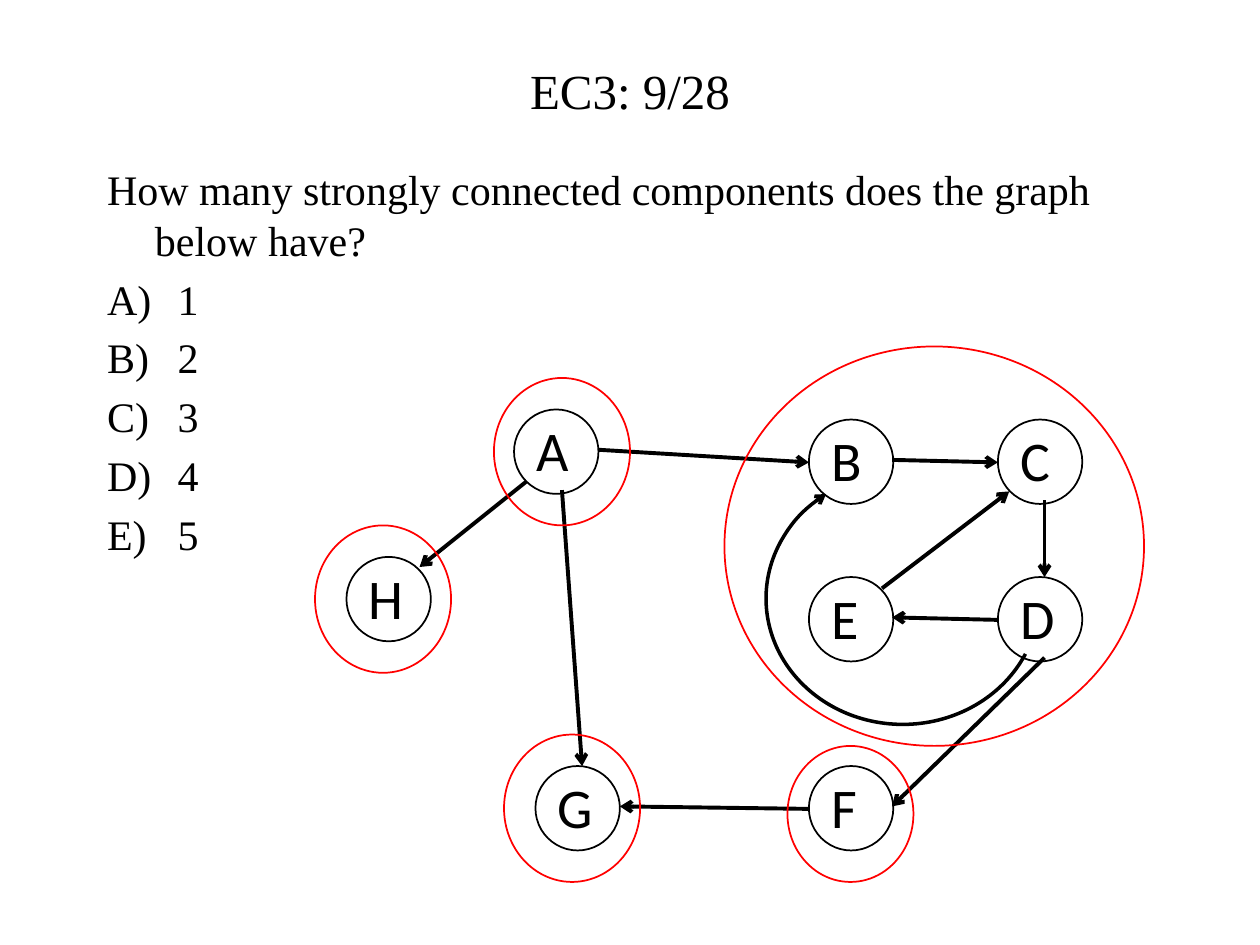
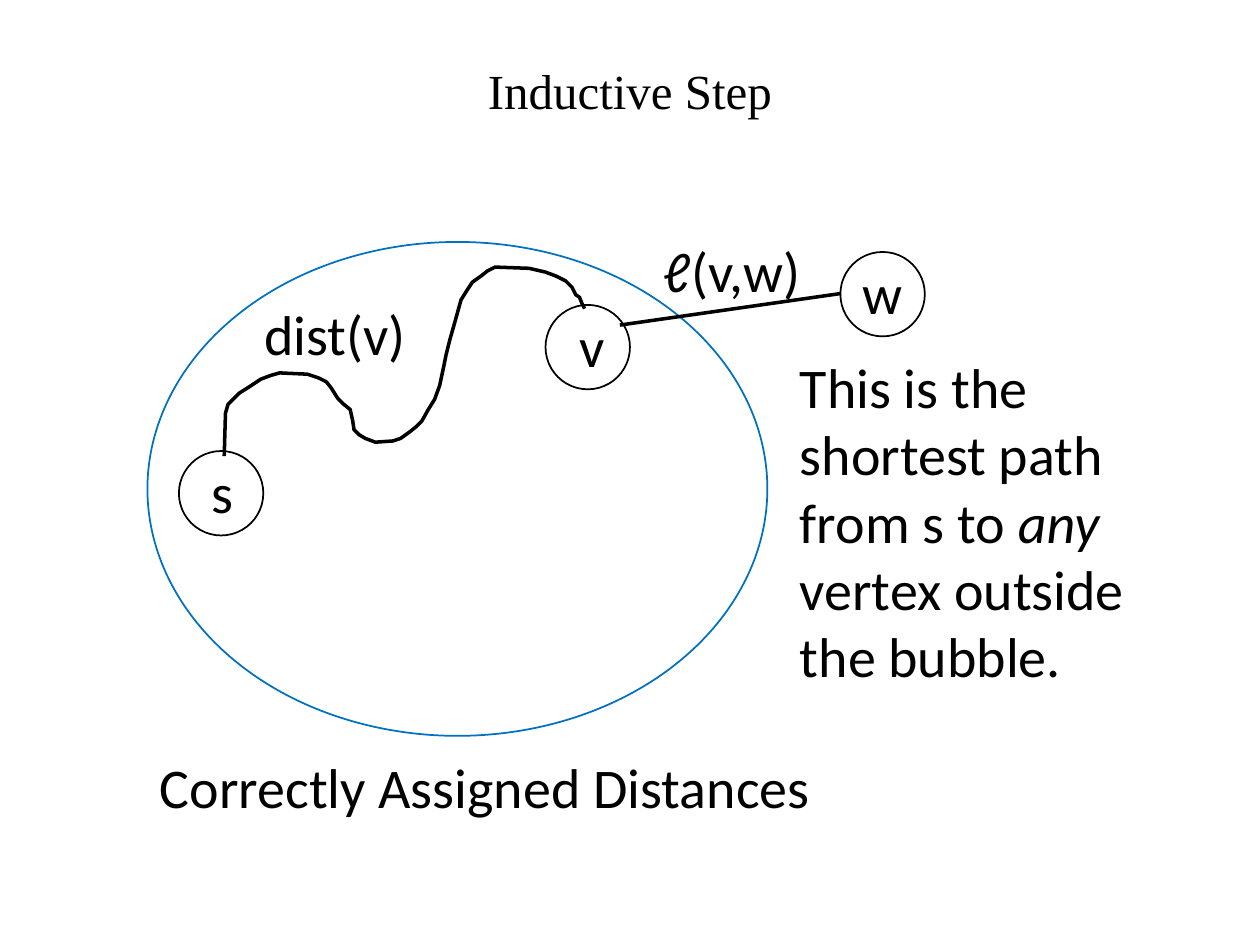
from lxml import etree
from pptx import Presentation
from pptx.dml.color import RGBColor
from pptx.enum import shapes, text
from pptx.oxml import ns
from pptx.util import Inches, Pt

BLACK = RGBColor(0x00, 0x00, 0x00)
RED = RGBColor(0xFF, 0x00, 0x00)
BLUE = RGBColor(0x00, 0x70, 0xC0)
SERIF = "Times New Roman"
SANS = "Calibri"
NODE = 0.67

NODES = {
    "A": (4.08, 3.25), "B": (6.42, 3.33), "C": (7.92, 3.33), "D": (7.92, 4.58),
    "E": (6.42, 4.58), "F": (6.42, 6.08), "G": (4.25, 6.08), "H": (2.75, 4.42),
}
EDGES = [
    ((4.75, 3.57), (6.42, 3.67)),
    ((7.08, 3.65), (7.92, 3.67)),
    ((8.29, 3.97), (8.29, 4.58)),
    ((7.92, 4.92), (7.08, 4.9)),
    ((7, 4.67), (8.01, 3.9)),
    ((4.46, 3.89), (4.62, 6.08)),
    ((6.42, 6.42), (4.92, 6.4)),
    ((8.29, 5.22), (7.08, 6.4)),
    ((4.18, 3.82), (3.33, 4.5)),
]
RINGS = [
    (3.92, 3, 1.08, 1.17),
    (2.5, 4.17, 1.08, 1.17),
    (4, 5.83, 1.08, 1.17),
    (6.25, 5.92, 1, 1.08),
    (5.75, 2.75, 3.33, 3.17),
]
TRAIL = [
    (178, 362), (179, 328), (181, 321), (185, 317), (190, 312), (198, 307),
    (207, 301), (215, 298), (222, 296), (244, 297), (253, 300), (259, 303),
    (263, 308), (268, 316), (273, 321), (278, 325), (280, 334), (281, 341),
    (285, 345), (290, 348), (298, 351), (312, 350), (318, 348), (325, 343),
    (330, 339), (335, 334), (340, 325), (345, 317), (349, 306), (352, 292),
    (354, 282), (357, 270), (361, 256), (366, 238), (371, 230), (375, 224),
    (382, 219), (387, 215), (393, 212), (420, 213), (433, 216), (441, 219),
    (449, 223), (454, 228), (457, 234), (460, 236), (462, 241), (464, 245),
]


def box(rect):
    return [Inches(n) for n in rect]


def set_font(para, face, size):
    para.font.name = face
    para.font.size = Pt(size)
    para.font.color.rgb = BLACK


def add_title(slide, words):
    title = slide.shapes.title
    title.left, title.top, title.width, title.height = box((0.75, 0.42, 8.5, 0.58))
    title.text_frame.text = words
    title.text_frame.vertical_anchor = text.MSO_ANCHOR.MIDDLE
    para = title.text_frame.paragraphs[0]
    para.alignment = text.PP_ALIGN.CENTER
    set_font(para, SERIF, 28)


def add_quiz(slide, question, answers):
    body = slide.placeholders[1]
    body.left, body.top, body.width, body.height = box((0.75, 1.25, 8.5, 5.42))
    frame = body.text_frame
    frame.text = "\n".join([question] + answers)
    for i, para in enumerate(frame.paragraphs):
        indent = Inches(0.56 if i else 0.38)
        props = para._p.get_or_add_pPr()
        props.set("marL", str(indent))
        props.set("indent", str(-indent))
        if i:
            mark = etree.SubElement(props, ns.qn("a:buAutoNum"))
            mark.set("type", "alphaUcParenR")
        else:
            etree.SubElement(props, ns.qn("a:buNone"))
        set_font(para, SERIF, 24)


def add_label(group, rect, *parts):
    label = group.add_textbox(*box(rect))
    frame = label.text_frame
    frame.word_wrap = True
    frame.auto_size = text.MSO_AUTO_SIZE.SHAPE_TO_FIT_TEXT
    para = frame.paragraphs[0]
    set_font(para, SANS, 32)
    for part in parts:
        para.add_run().text = part
    return para


def outline(shape, color, width):
    shape.shadow.inherit = False
    shape.fill.background()
    shape.line.color.rgb = color
    shape.line.width = Pt(width)


def add_oval(group, rect, color):
    oval = group.add_shape(shapes.MSO_SHAPE.OVAL, *box(rect))
    outline(oval, color, 1)


def add_node(slide, name, left, top, shift=0.08):
    group = slide.shapes.add_group_shape().shapes
    add_oval(group, (left, top, NODE, NODE), BLACK)
    add_label(group, (left + shift, top, 0.58, 0.64), name)


def add_head(shape):
    head = etree.SubElement(shape.line._get_or_add_ln(), ns.qn("a:tailEnd"))
    head.set("type", "arrow")


def add_edge(slide, start, end, width):
    edge = slide.shapes.add_connector(
        shapes.MSO_CONNECTOR.STRAIGHT, *box(start + end))
    edge.line.color.rgb = BLACK
    edge.line.width = Pt(width)
    etree.SubElement(edge._element.spPr, ns.qn("a:effectLst"))
    return edge


def add_arc(slide, rect, start, end):
    arc = slide.shapes.add_shape(shapes.MSO_SHAPE.ARC, *box(rect))
    arc.adjustments[0] = start * 0.6
    arc.adjustments[1] = end * 0.6
    outline(arc, BLACK, 2)
    add_head(arc)


def add_trail(slide, points):
    pen = slide.shapes.build_freeform(*points[0], scale=Inches(0.01))
    pen.add_line_segments(points[1:], close=False)
    outline(pen.convert_to_shape(), BLACK, 2)


def graph_slide(deck):
    slide = deck.slides.add_slide(deck.slide_layouts[1])
    add_title(slide, "EC3: 9/28")
    add_quiz(
        slide,
        "How many strongly connected components does the graph below have?",
        [str(n) for n in range(1, 6)])
    for name, (left, top) in NODES.items():
        add_node(slide, name, left, top)
    for start, end in EDGES:
        add_head(add_edge(slide, start, end, 2.25))
    add_arc(slide, (6.08, 3.75, 2.17, 2), 24.33, 233.68)
    for ring in RINGS:
        add_oval(slide.shapes, ring, RED)


def proof_slide(deck):
    slide = deck.slides.add_slide(deck.slide_layouts[5])
    add_title(slide, "Inductive Step")
    add_node(slide, "s", 1.42, 3.58, 0.16)
    add_oval(slide.shapes, (1.17, 1.92, 4.92, 3.92), BLUE)
    add_label(slide.shapes, (1.17, 5.92, 5.42, 0.64), "Correctly Assigned Distances")
    add_node(slide, "v", 4.33, 2.42, 0.17)
    add_node(slide, "w", 6.67, 2)
    add_edge(slide, (4.92, 2.58), (6.67, 2.33), 2)
    add_label(slide.shapes, (5.17, 1.83, 1.42, 0.64), "ℓ(v,w)")
    add_trail(slide, TRAIL)
    add_label(slide.shapes, (2, 2.33, 1.42, 0.64), "dist(v)")
    claim = add_label(
        slide.shapes, (6.25, 2.75, 3.42, 2.79),
        "This is the shortest path from s to ", "any", " vertex outside the bubble.")
    claim.runs[1].font.italic = True


def main():
    deck = Presentation()
    deck.slide_width, deck.slide_height = Inches(10), Inches(7.5)
    graph_slide(deck)
    proof_slide(deck)
    deck.save("out.pptx")


if __name__ == "__main__":
    main()
